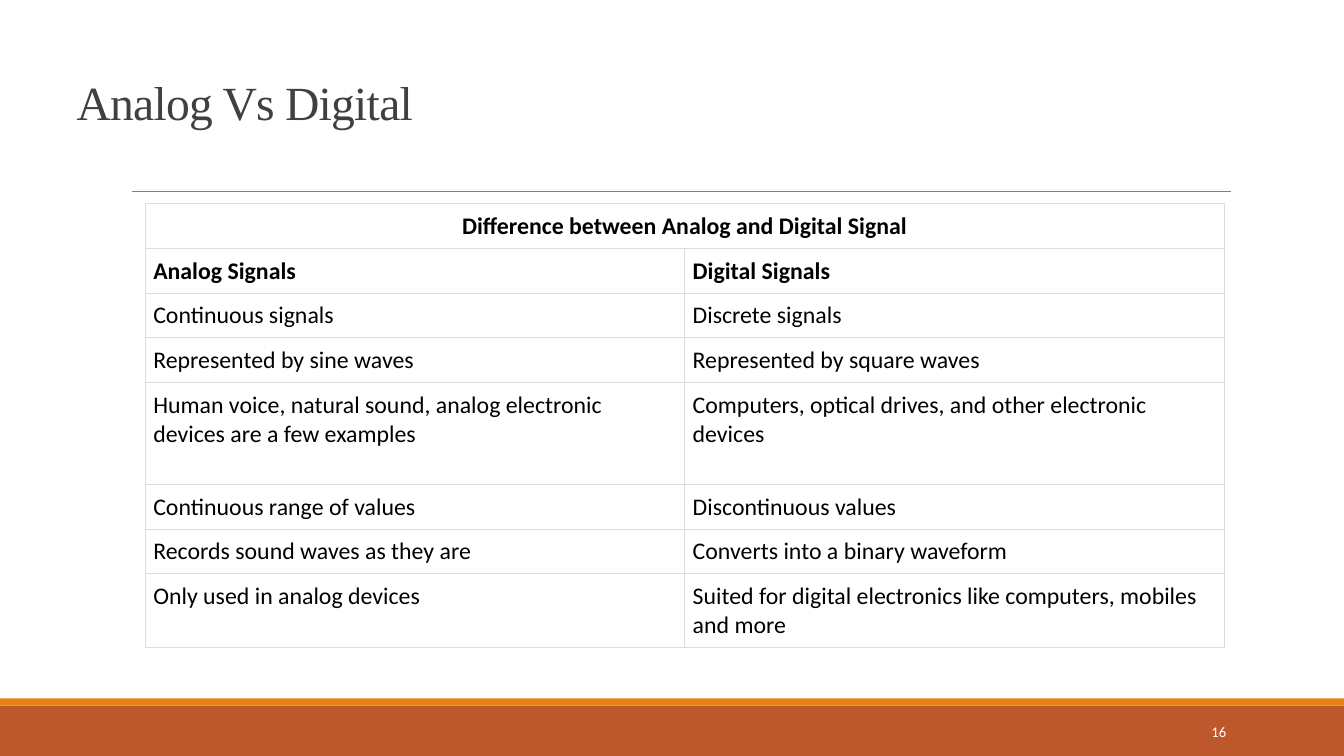
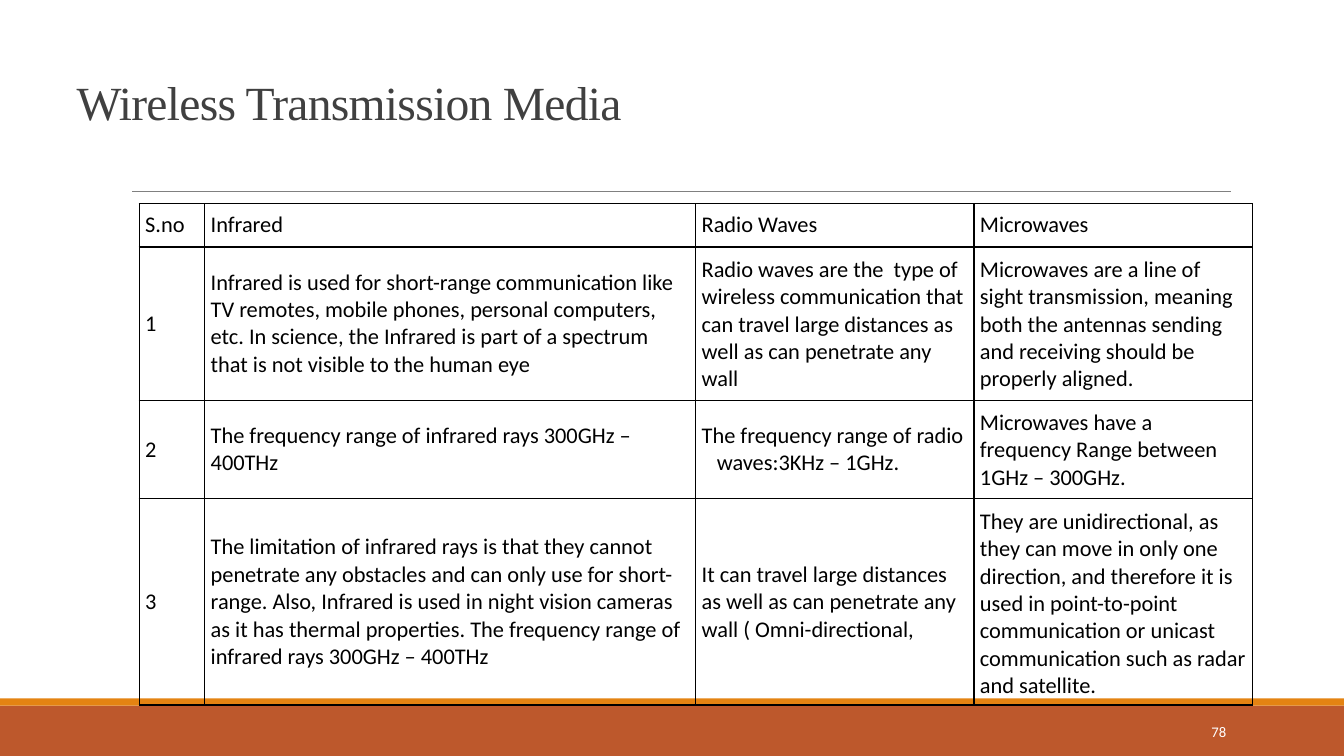
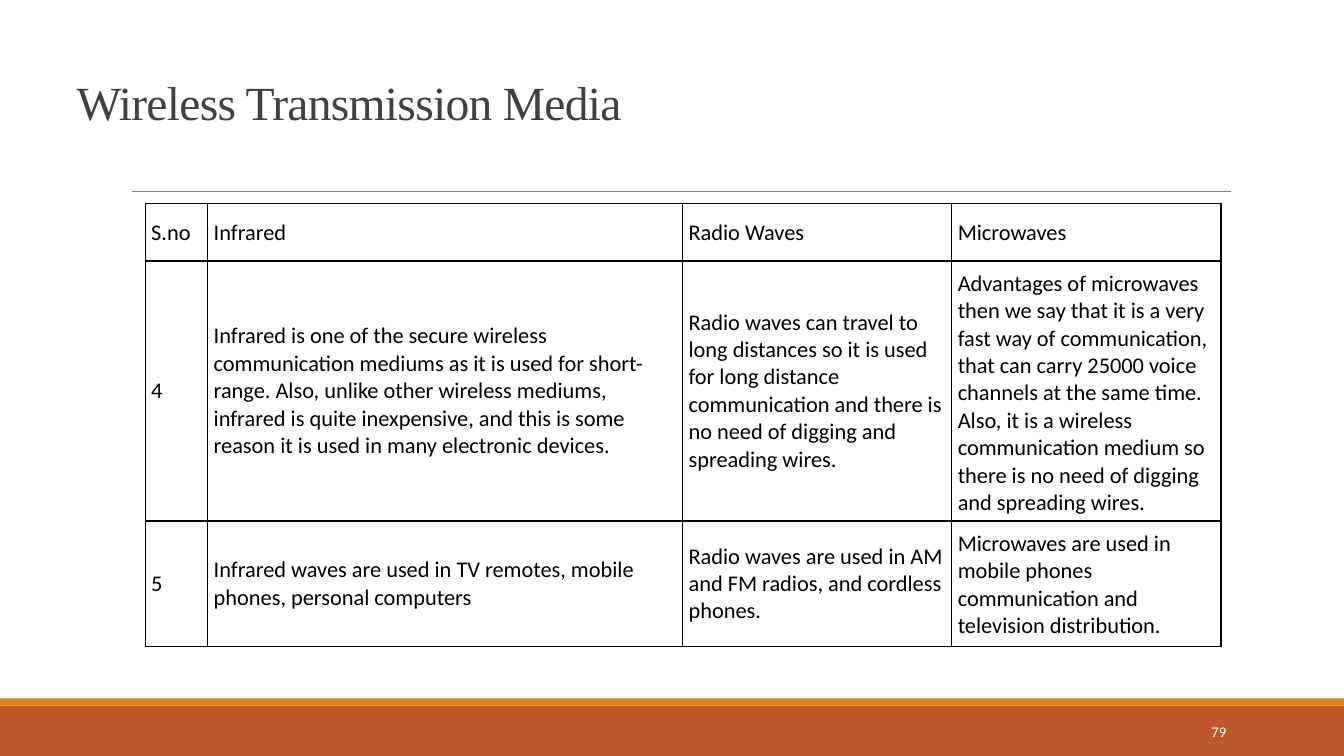
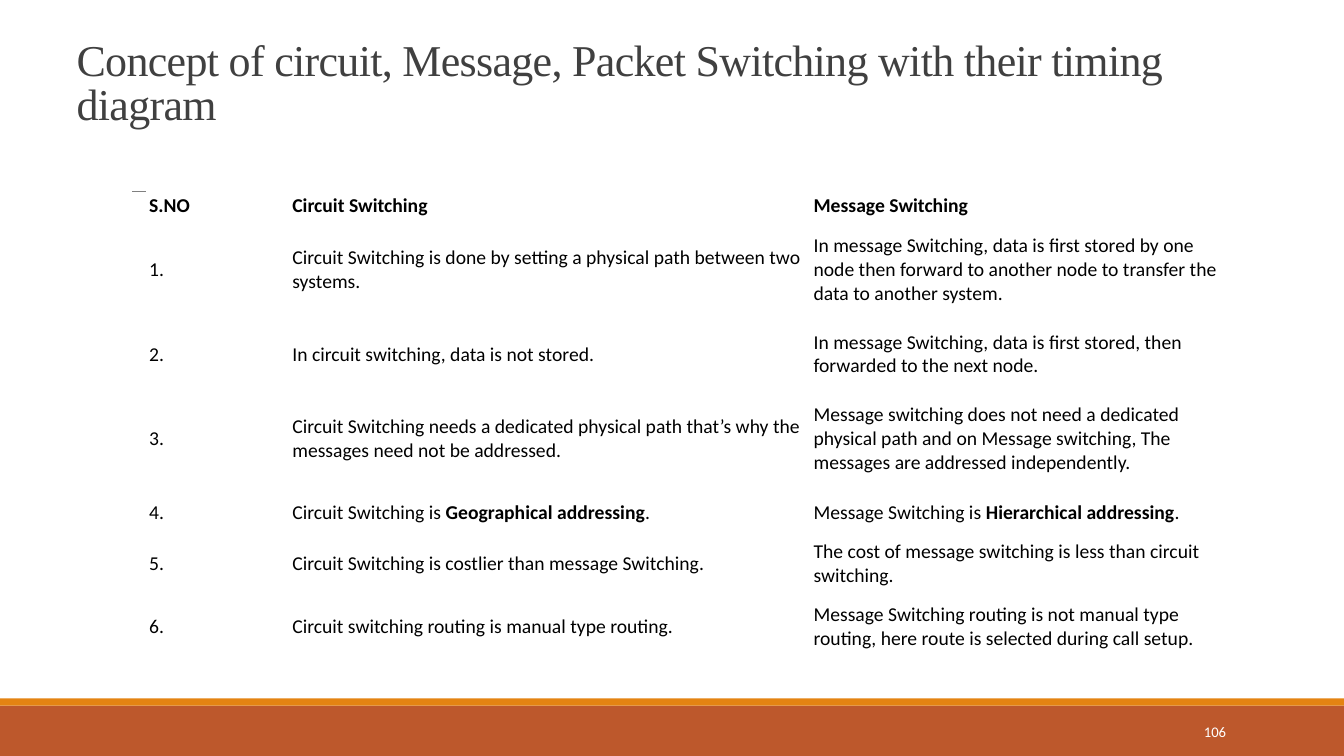
from dataclasses import dataclass

from lxml import etree
from pptx import Presentation
from pptx.dml.color import RGBColor
from pptx.enum.shapes import MSO_CONNECTOR, MSO_SHAPE
from pptx.enum.text import MSO_ANCHOR, MSO_AUTO_SIZE, PP_ALIGN
from pptx.oxml.ns import qn
from pptx.util import Pt

EMU_PER_PX = 9144  # 100 px to the inch
SLIDE_WIDTH, SLIDE_HEIGHT = 1333, 750
TITLE_ONLY = 5
RECTANGLE, STRAIGHT = MSO_SHAPE.RECTANGLE, MSO_CONNECTOR.STRAIGHT
TOP, MIDDLE, BOTTOM = MSO_ANCHOR.TOP, MSO_ANCHOR.MIDDLE, MSO_ANCHOR.BOTTOM
LEFT, CENTER, RIGHT = PP_ALIGN.LEFT, PP_ALIGN.CENTER, PP_ALIGN.RIGHT

COLORS = {
    "footer": "BD582C", "stripe": "E48312", "rule": "808080", "title": "404040",
    "white": "FFFFFF", "black": "000000", "light_border": "DDDDDD",
}
HEADING_FONT, BODY_FONT = "Times New Roman", "Calibri"


@dataclass(frozen=True)
class Band:
    top: int
    height: int
    color: str


@dataclass(frozen=True)
class TableLook:
    size: int
    anchor: MSO_ANCHOR
    header_inset: tuple[int, int]
    body_inset: tuple[int, int]
    fill: str | None = None
    border: str | None = None
    border_points: float = 1
    bold_rows: int = 0


@dataclass(frozen=True)
class TableSlide:
    """One slide; a row with a single text spans the whole table."""
    title: str
    number: int
    left: int
    top: int
    columns: list[int]
    heights: list[int]
    look: TableLook
    rows: list[tuple[str, ...]]
    title_size: float = 34


BANDS = [Band(700, 50, "footer"), Band(693, 7, "stripe")]
LIGHT_GRID = TableLook(17, TOP, (8, 8), (8, 8), "white", "light_border", 0.75, 2)
BLACK_GRID = TableLook(16, MIDDLE, (6, 6), (6, 9), border="black")
NO_GRID = TableLook(14, MIDDLE, (3, 2), (3, 2), "white", bold_rows=1)
MEDIA_HEADER = ("S.no", "Infrared", "Radio Waves", "Microwaves")

SLIDES = [
    TableSlide(
        "Analog Vs Digital", 16, 144, 202, [535, 535],
        [44, 44, 44, 44, 101, 44, 44, 73], LIGHT_GRID,
        [
            ("Difference between Analog and Digital Signal",),
            ("Analog Signals", "Digital Signals"),
            ("Continuous signals", "Discrete signals"),
            ("Represented by sine waves", "Represented by square waves"),
            ("Human voice, natural sound, analog electronic devices are a few examples",
             "Computers, optical drives, and other electronic devices"),
            ("Continuous range of values", "Discontinuous values"),
            ("Records sound waves as they are", "Converts into a binary waveform"),
            ("Only used in analog devices",
             "Suited for digital electronics like computers, mobiles and more"),
        ],
    ),
    TableSlide(
        "Wireless Transmission Media", 78, 138, 202, [65, 487, 276, 276],
        [43, 152, 70, 193], BLACK_GRID,
        [
            MEDIA_HEADER,
            ("1",
             "Infrared is used for short-range communication like TV remotes, mobile phones, "
             "personal computers, etc. In science, the Infrared is part of a spectrum that is "
             "not visible to the human eye",
             "Radio waves are the  type of wireless communication that can travel large "
             "distances as well as can penetrate any wall",
             "Microwaves are a line of sight transmission, meaning both the antennas sending "
             "and receiving should be properly aligned."),
            ("2",
             "The frequency range of infrared rays 300GHz – 400THz",
             "The frequency range of radio    waves:3KHz – 1GHz.",
             "Microwaves have a frequency Range between 1GHz – 300GHz."),
            ("3",
             "The limitation of infrared rays is that they cannot penetrate any obstacles and "
             "can only use for short-range. Also, Infrared is used in night vision cameras as "
             "it has thermal properties. The frequency range of infrared rays 300GHz – 400THz",
             "It can travel large distances as well as can penetrate any wall "
             "( Omni-directional,",
             "They are unidirectional, as they can move in only one direction, and therefore "
             "it is used in point-to-point communication or unicast communication such as "
             "radar and satellite."),
        ],
    ),
    TableSlide(
        "Wireless Transmission Media", 79, 144, 202, [62, 471, 267, 267],
        [57, 251, 118], BLACK_GRID,
        [
            MEDIA_HEADER,
            ("4",
             "Infrared is one of the secure wireless communication mediums as it is used for "
             "short-range. Also, unlike other wireless mediums, infrared is quite "
             "inexpensive, and this is some reason it is used in many electronic devices.",
             "Radio waves can travel to long distances so it is used for long distance "
             "communication and there is no need of digging and spreading wires.",
             "Advantages of microwaves then we say that it is a very fast way of "
             "communication, that can carry 25000 voice channels at the same time. Also, it "
             "is a wireless communication medium so there is no need of digging and "
             "spreading wires."),
            ("5",
             "Infrared waves are used in TV remotes, mobile phones, personal computers",
             "Radio waves are used in AM and FM radios, and cordless phones.",
             "Microwaves are used in mobile phones communication and television "
             "distribution."),
        ],
    ),
    TableSlide(
        "Concept of circuit, Message, Packet Switching with their timing diagram",
        106, 145, 189, [142, 517, 422], [31, 95, 73, 95, 51, 51, 73], NO_GRID,
        [
            ("S.NO", "Circuit Switching", "Message Switching"),
            ("1.",
             "Circuit Switching is done by setting a physical path between two systems.",
             "In message Switching, data is first stored by one node then forward to another "
             "node to transfer the data to another system."),
            ("2.",
             "In circuit switching, data is not stored.",
             "In message Switching, data is first stored, then forwarded to the next node."),
            ("3.",
             "Circuit Switching needs a dedicated physical path that’s why the messages need "
             "not be addressed.",
             "Message switching does not need a dedicated physical path and on Message "
             "switching, The messages are addressed independently."),
            ("4.",
             "Circuit Switching is **Geographical addressing**.",
             "Message Switching is **Hierarchical addressing**."),
            ("5.",
             "Circuit Switching is costlier than message Switching.",
             "The cost of message switching is less than circuit switching."),
            ("6.",
             "Circuit switching routing is manual type routing.",
             "Message Switching routing is not manual type routing, here route is selected "
             "during call setup."),
        ],
        31.4,
    ),
]


def px(length: int) -> int:
    return length * EMU_PER_PX


def box(left: int, top: int, width: int, height: int) -> tuple[int, ...]:
    return tuple(map(px, (left, top, width, height)))


def rgb(name: str) -> RGBColor:
    return RGBColor.from_string(COLORS[name])


def apply(target, values: dict) -> None:
    for name, value in values.items():
        setattr(target, name, value)


def write(paragraph, text: str, font: str, size: float, color: str,
          align=LEFT, bold: bool = False) -> None:
    """Fill a paragraph; text between ** marks is bold."""
    paragraph.alignment = align
    for index, part in enumerate(text.split("**")):
        run = paragraph.add_run()
        run.text = part
        apply(run.font, {"name": font, "size": Pt(size), "bold": bold or index % 2 == 1})
        run.font.color.rgb = rgb(color)


def add_frame(slide, number: int) -> None:
    """Draw the bands, the rule under the title and the slide number."""
    for band in BANDS:
        shape = slide.shapes.add_shape(
            RECTANGLE, *box(0, band.top, SLIDE_WIDTH, band.height))
        shape.shadow.inherit = False
        shape.fill.solid()
        shape.fill.fore_color.rgb = rgb(band.color)
        shape.line.fill.background()

    rule = slide.shapes.add_connector(STRAIGHT, *box(131, 190, 1221, 190))
    rule.line.color.rgb = rgb("rule")
    rule.line.width = Pt(0.5)
    etree.SubElement(rule.line._get_or_add_ln().getparent(), qn("a:effectLst"))

    frame = slide.shapes.add_textbox(*box(1083, 706, 143, 40)).text_frame
    apply(frame, {"word_wrap": True, "vertical_anchor": MIDDLE})
    write(frame.paragraphs[0], str(number), BODY_FONT, 10.5, "white", RIGHT)


def set_title(slide, text: str, size: float) -> None:
    title = slide.shapes.title
    left, top, width, height = box(66, 40, 1231, 94)
    apply(title, {"left": left, "top": top, "width": width, "height": height})
    apply(title.text_frame, {
        "word_wrap": True, "auto_size": MSO_AUTO_SIZE.NONE, "vertical_anchor": BOTTOM})
    paragraph = title.text_frame.paragraphs[0]
    paragraph.line_spacing = 0.85
    write(paragraph, text, HEADING_FONT, size, "title")
    for run in paragraph.runs:
        run.font._element.set("spc", "-50")


def add_borders(cell, color: str, points: float) -> None:
    properties = cell._tc.get_or_add_tcPr()
    for side in "LRTB":
        line = etree.SubElement(properties, qn(f"a:ln{side}"), w=str(Pt(points)))
        fill = etree.SubElement(line, qn("a:solidFill"))
        etree.SubElement(fill, qn("a:srgbClr"), val=COLORS[color])


def format_cell(cell, look: TableLook, is_header: bool) -> None:
    across, down = map(px, look.header_inset if is_header else look.body_inset)
    apply(cell, {
        "margin_left": across, "margin_right": across,
        "margin_top": down, "margin_bottom": down, "vertical_anchor": look.anchor})
    if look.border:
        add_borders(cell, look.border, look.border_points)
    if look.fill:
        cell.fill.solid()
        cell.fill.fore_color.rgb = rgb(look.fill)
    else:
        cell.fill.background()


def add_table(slide, content: TableSlide) -> None:
    look, last_column = content.look, len(content.columns) - 1
    table = slide.shapes.add_table(
        len(content.rows), len(content.columns),
        *box(content.left, content.top, sum(content.columns), sum(content.heights))).table
    apply(table, {"first_row": False, "horz_banding": False})
    for column, width in zip(table.columns, content.columns):
        column.width = px(width)
    for index, (row, height, texts) in enumerate(
            zip(table.rows, content.heights, content.rows)):
        row.height = px(height)
        for cell in row.cells:
            format_cell(cell, look, index == 0)
        spans = len(texts) == 1
        if spans:
            table.cell(index, 0).merge(table.cell(index, last_column))
        for cell, text in zip(row.cells, texts):
            write(cell.text_frame.paragraphs[0], text, BODY_FONT, look.size, "black",
                  CENTER if spans else LEFT, index < look.bold_rows)


def main() -> None:
    presentation = Presentation()
    apply(presentation, {"slide_width": px(SLIDE_WIDTH), "slide_height": px(SLIDE_HEIGHT)})
    layout = presentation.slide_layouts[TITLE_ONLY]
    for content in SLIDES:
        slide = presentation.slides.add_slide(layout)
        add_frame(slide, content.number)
        set_title(slide, content.title, content.title_size)
        add_table(slide, content)
    presentation.save("out.pptx")


if __name__ == "__main__":
    main()
